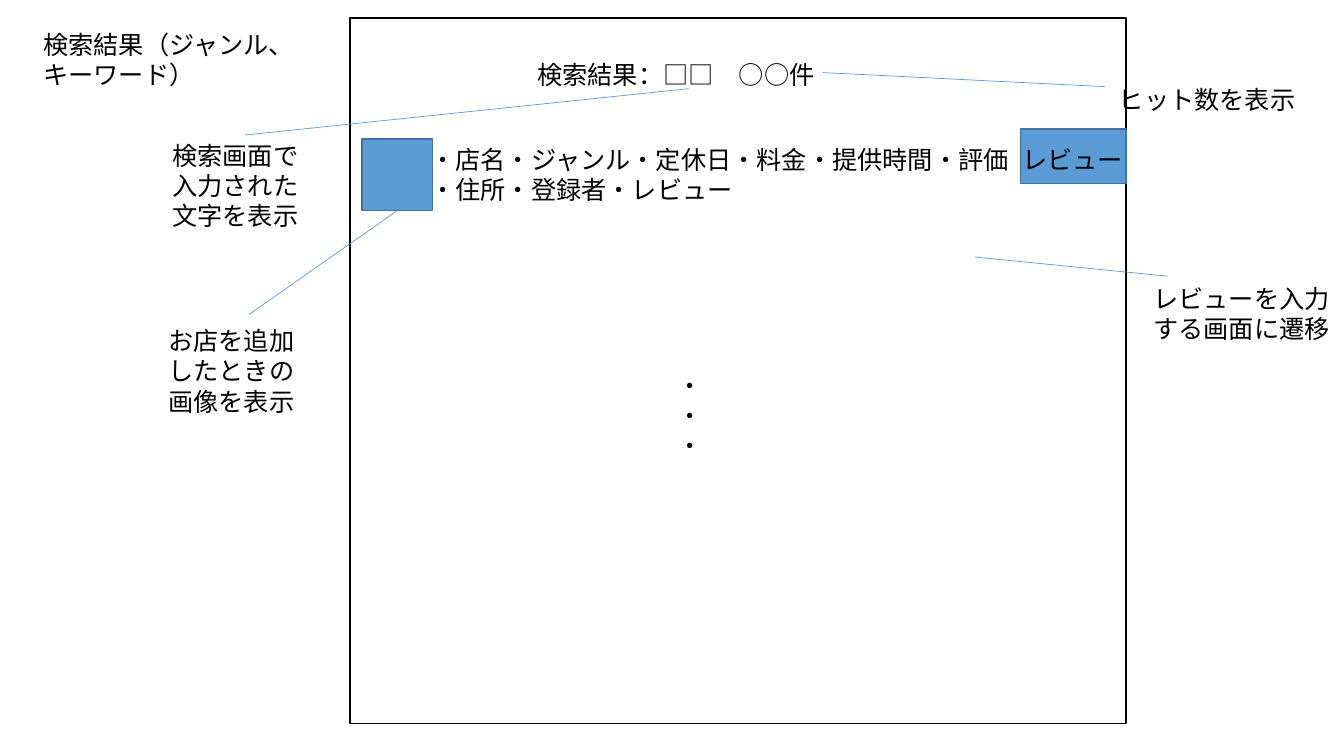
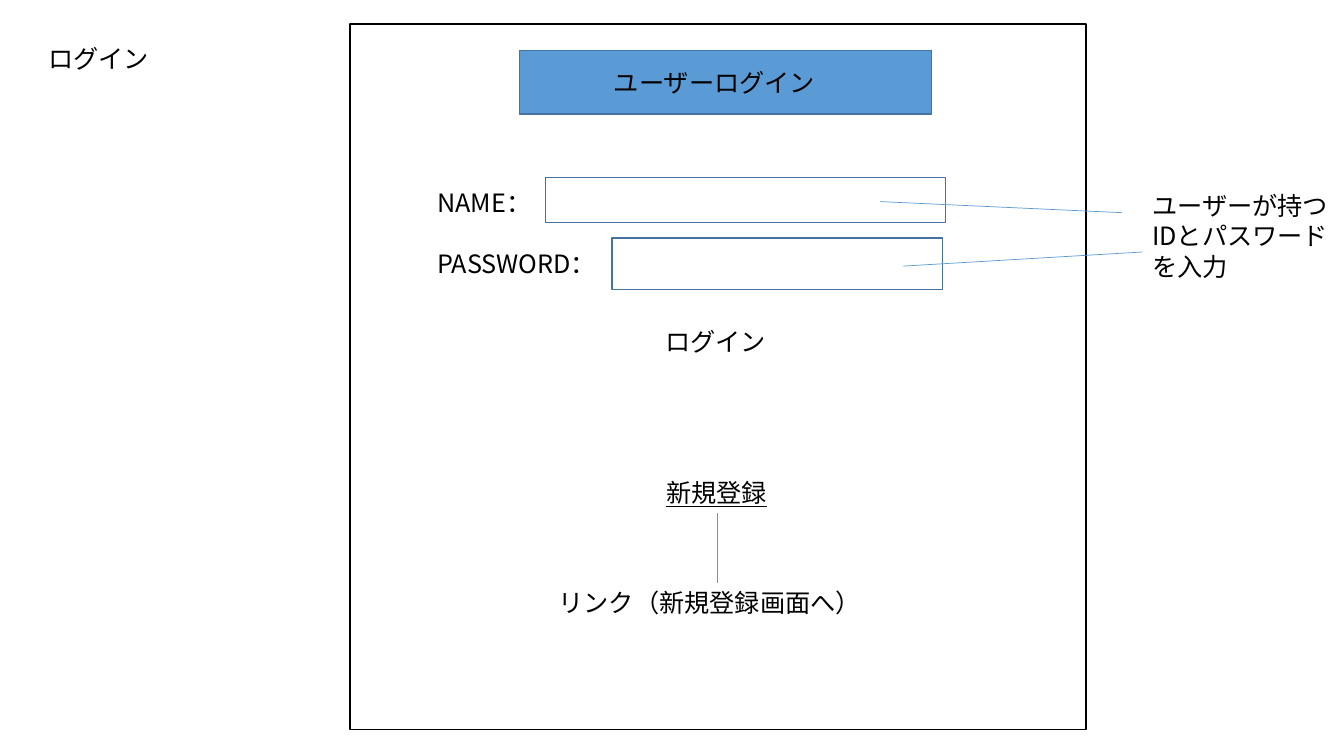
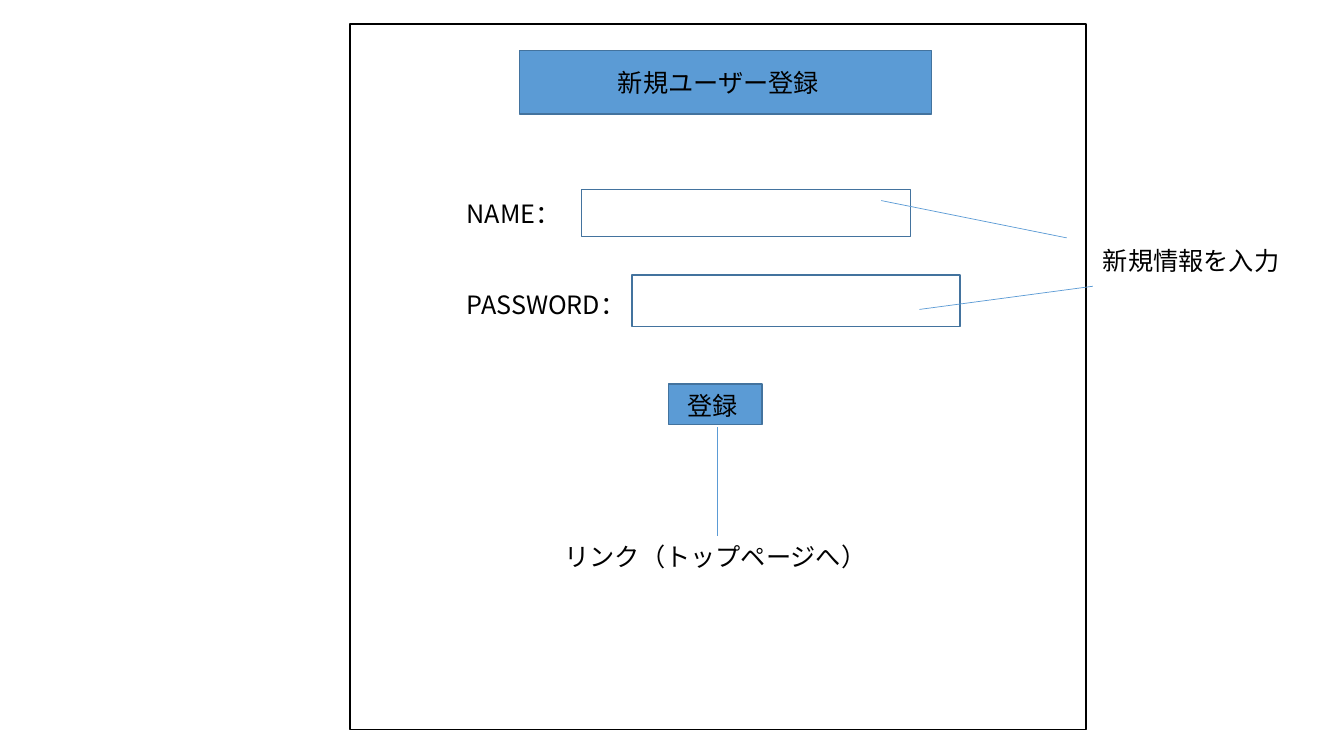
"""Build three wireframe slides for a shop search site."""
from lxml import etree
from pptx import Presentation
from pptx.dml.color import RGBColor
from pptx.enum.shapes import MSO_CONNECTOR, MSO_SHAPE
from pptx.enum.text import MSO_AUTO_SIZE
from pptx.oxml.ns import qn
from pptx.util import Inches, Pt

RECT = MSO_SHAPE.RECTANGLE
STRAIGHT = MSO_CONNECTOR.STRAIGHT
GROW = MSO_AUTO_SIZE.SHAPE_TO_FIT_TEXT

BLACK = RGBColor(0x00, 0x00, 0x00)
BLUE = RGBColor(0x5B, 0x9B, 0xD5)
EDGE = RGBColor(0x43, 0x73, 0x9E)
FONT = "Noto Sans CJK JP"
SIZE = 18
ROW = 21.7


def write(slide, text, left, top, width, height=0.4, gap=0, under=None):
    box = slide.shapes.add_textbox(
        Inches(left), Inches(top), Inches(width), Inches(height))
    frame = box.text_frame
    frame.word_wrap = True
    frame.auto_size = GROW
    for index, line in enumerate(text.split("\n")):
        para = frame.paragraphs[0] if index == 0 else frame.add_paragraph()
        if index:
            para.space_before = Pt(gap)
        run = para.add_run()
        run.text = line
        font = run.font
        font.name = FONT
        font.size = Pt(SIZE)
        font.color.rgb = BLACK
        font.underline = under
        east = etree.SubElement(font._element, qn("a:ea"))
        east.set("typeface", FONT)


def block(slide, left, top, width, height, fill=None, edge=EDGE):
    shape = slide.shapes.add_shape(
        RECT, Inches(left), Inches(top), Inches(width), Inches(height))
    shape.shadow.inherit = False
    shape.line.color.rgb = edge
    shape.line.width = Pt(1)
    if fill is None:
        shape.fill.background()
    else:
        shape.fill.solid()
        shape.fill.fore_color.rgb = fill


def link(slide, *ends):
    line = slide.shapes.add_connector(STRAIGHT, *map(Inches, ends))
    line.line.color.rgb = BLUE
    line.line.width = Pt(0.5)
    etree.SubElement(line._element.spPr, qn("a:effectLst"))


def screen(deck, top=0.24, width=7.3):
    slide = deck.slides.add_slide(deck.slide_layouts[6])
    block(slide, 3.47, top, width, 7, edge=BLACK)
    return slide


def form(deck, title, left):
    slide = screen(deck)
    block(slide, 5.15, 0.5, 4.09, 0.63, fill=BLUE)
    write(slide, title, left, 0.62, 2.79)
    return slide


def result(deck):
    slide = screen(deck, top=0.18, width=7.7)
    block(slide, 3.59, 1.38, 0.7, 0.71, fill=BLUE)
    block(slide, 10.12, 1.28, 1.05, 0.54, fill=BLUE)
    write(slide, "検索結果（ジャンル、キーワード）", 0.33, 0.24, 2.49, 0.71)
    write(slide, "検索結果：□□　○○件", 5.23, 0.54, 3.91)
    write(slide, "・店名・ジャンル・定休日・料金・提供時間・評価\n・住所・登録者・レビュー",
          4.17, 1.38, 6.03, 0.71)
    write(slide, "レビュー", 10.04, 1.38, 1.28)
    write(slide, "・\n・\n・", 6.62, 3.62, 0.42, 1.01)
    write(slide, "検索画面で入力された文字を表示", 1.61, 1.34, 1.63, 1.01)
    write(slide, "お店を追加したときの画像を表示", 1.57, 3.18, 1.63, 1.01)
    write(slide, "ヒット数を表示", 11, 0.79, 2.3)
    write(slide, "レビューを入力する画面に遷移", 11.34, 2.76, 1.99, 0.71)
    link(slide, 6.83, 0.88, 2.43, 1.34)
    link(slide, 8.16, 0.72, 10.96, 0.86)
    link(slide, 9.67, 2.55, 11.58, 2.74)
    link(slide, 3.94, 2.09, 2.47, 3.12)


def login(deck):
    slide = form(deck, "ユーザーログイン", 5.99)
    write(slide, "ログイン", 0.38, 0.38, 2.39)
    write(slide, "NAME：\nPASSWORD：", 4.24, 1.81, 2.38, 1.01, gap=ROW)
    block(slide, 5.41, 1.76, 3.97, 0.45)
    block(slide, 6.07, 2.36, 3.28, 0.51)
    write(slide, "ログイン", 6.5, 3.19, 2.23)
    write(slide, "新規登録", 6.51, 4.69, 1.21, under=True)
    write(slide, "リンク（新規登録画面へ）", 5.44, 5.78, 3.37)
    write(slide, "ユーザーが持つIDとパスワードを入力", 11.33, 1.84, 2, 1.01)
    link(slide, 8.73, 2, 11.13, 2.11)
    link(slide, 8.96, 2.64, 11.33, 2.5)
    link(slide, 7.12, 5.78, 7.12, 5.09)


def signup(deck):
    slide = form(deck, "新規ユーザー登録", 6.03)
    write(slide, "NAME：\nPASSWORD：", 4.53, 1.92, 3.15, 1.31, gap=2 * ROW)
    block(slide, 5.77, 1.88, 3.26, 0.47)
    block(slide, 6.27, 2.73, 3.25, 0.51)
    block(slide, 6.63, 3.81, 0.93, 0.4, fill=BLUE)
    write(slide, "登録", 6.72, 3.82, 3.37)
    write(slide, "新規情報を入力", 10.84, 2.38, 2.4)
    write(slide, "リンク（トップページへ）", 5.5, 5.32, 3.4)
    link(slide, 8.74, 1.99, 10.58, 2.36)
    link(slide, 9.12, 3.07, 10.84, 2.84)
    link(slide, 7.12, 4.24, 7.12, 5.32)


def main():
    deck = Presentation()
    deck.slide_width = Inches(13.33)
    deck.slide_height = Inches(7.5)
    result(deck)
    login(deck)
    signup(deck)
    deck.save("out.pptx")


if __name__ == "__main__":
    main()
